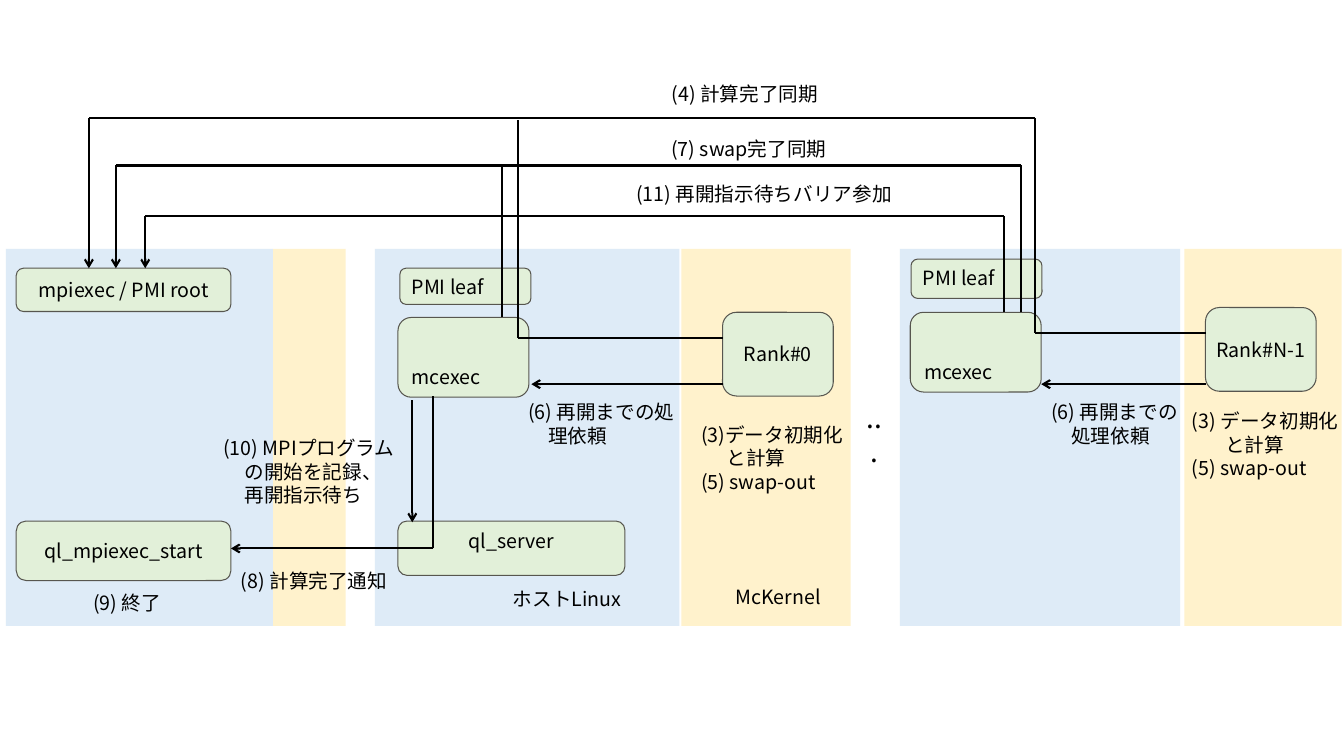
from dataclasses import dataclass
from itertools import pairwise

import lxml.etree
import pptx
import pptx.dml.color
import pptx.enum.shapes
import pptx.enum.text
import pptx.oxml.ns
import pptx.util

Cm = pptx.util.Cm
Pt = pptx.util.Pt
SHAPE = pptx.enum.shapes.MSO_SHAPE
ALIGN = pptx.enum.text.PP_ALIGN
ANCHOR = pptx.enum.text.MSO_ANCHOR
qn = pptx.oxml.ns.qn


@dataclass(frozen=True)
class Theme:
    font: str = "Noto Sans CJK JP"
    body: int = 14
    dots: int = 20
    ink: str = "000000"
    outline: str = "57564F"
    process: str = "E2F0D9"
    linux: str = "DEEBF7"
    mckernel: str = "FFF2CC"
    border: float = 0.75
    wire: float = 1.5


def rgb(code):
    return pptx.dml.color.RGBColor.from_string(code)


class Diagram:
    def __init__(self, page, theme):
        self.page = page
        self.theme = theme

    def set_text(self, frame, text, align, size=None, hang=0):
        """Fill a frame with one paragraph per line; the first one may hang."""
        for index, line in enumerate(text.split("\n")):
            para = frame.paragraphs[0] if index == 0 else frame.add_paragraph()
            para.text = line
            para.alignment = align
            if hang and index == 0:
                props = para._p.get_or_add_pPr()
                props.set("marL", str(Cm(hang)))
                props.set("indent", str(-Cm(hang)))
            font = para.font
            font.size = Pt(size or self.theme.body)
            font.color.rgb = rgb(self.theme.ink)
            font.name = self.theme.font
            east_asian = lxml.etree.SubElement(font._element, qn("a:ea"))
            east_asian.set("typeface", self.theme.font)

    def block(self, kind, place, fill):
        shape = self.page.shapes.add_shape(kind, *map(Cm, place))
        shape.shadow.inherit = False
        shape.fill.solid()
        shape.fill.fore_color.rgb = rgb(fill)
        return shape

    def panel(self, left, width, fill):
        place = (left, 6.27, width, 9.5)
        self.block(SHAPE.RECTANGLE, place, fill).line.fill.background()

    def process(self, text, place, anchor=ANCHOR.MIDDLE, align=ALIGN.CENTER):
        shape = self.block(SHAPE.ROUNDED_RECTANGLE, place, self.theme.process)
        shape.line.color.rgb = rgb(self.theme.outline)
        shape.line.width = Pt(self.theme.border)
        frame = shape.text_frame
        frame.word_wrap = align == ALIGN.LEFT
        frame.vertical_anchor = anchor
        self.set_text(frame, text, align)

    def label(self, text, place, align=ALIGN.CENTER, size=None, hang=0):
        box = self.page.shapes.add_textbox(*map(Cm, place))
        box.text_frame.word_wrap = True
        self.set_text(box.text_frame, text, align, size, hang)

    def route(self, points, arrow=True):
        """Join the points with straight lines, with an arrow at the last one."""
        for start, end in pairwise(points):
            wire = self.page.shapes.add_connector(
                pptx.enum.shapes.MSO_CONNECTOR.STRAIGHT, *map(Cm, start + end))
            wire.line.color.rgb = rgb(self.theme.ink)
            wire.line.width = Pt(self.theme.wire)
            if arrow and end == points[-1]:
                line = wire.line._get_or_add_ln()
                lxml.etree.SubElement(line, qn("a:tailEnd")).set("type", "arrow")
            lxml.etree.SubElement(wire._element.spPr, qn("a:effectLst"))


def draw_hosts(diagram):
    theme = diagram.theme
    for left, width, fill in [
        (17.17, 4.27, theme.mckernel), (9.45, 7.67, theme.linux),
        (6.88, 1.83, theme.mckernel), (0.15, 6.73, theme.linux),
        (29.85, 3.96, theme.mckernel), (22.68, 7.06, theme.linux),
    ]:
        diagram.panel(left, width, fill)

    diagram.process("mpiexec / PMI root", (0.41, 6.76, 5.41, 1.09))
    diagram.process("ql_mpiexec_start", (0.41, 13.13, 5.41, 1.5))
    diagram.process("ql_server", (10.03, 13.13, 5.72, 1.37), ANCHOR.TOP)
    for leaf, mcexec, rank, rank_name in [
        ((10.08, 6.76, 3.3, 0.91), (10.03, 8), (18.21, 7.87), "Rank#0"),
        ((22.96, 6.53, 3.3, 0.99), (22.94, 7.87), (30.38, 7.75), "Rank#N-1"),
    ]:
        diagram.process("PMI leaf", leaf, ANCHOR.TOP, ALIGN.LEFT)
        diagram.process("mcexec", mcexec + (3.3, 2.01), ANCHOR.BOTTOM, ALIGN.LEFT)
        diagram.process(rank_name, rank + (2.79, 2.11))


def draw_messages(diagram):
    # Barriers (4), (7) and (11) end at the PMI root
    diagram.route([(30.38, 8.38), (26.09, 8.38), (26.09, 2.97),
                   (2.24, 2.97), (2.24, 6.76)])
    for source, bar, target in [(25.73, 4.17, 2.92), (25.3, 5.44, 3.66)]:
        diagram.route([(source, 7.87), (source, bar), (target, bar), (target, 6.76)])
    # Rank 0 and its mcexec join barriers (4) and (7)
    diagram.route([(18.21, 8.51), (13.06, 8.51), (13.06, 3.02)], arrow=False)
    diagram.route([(12.65, 8), (12.65, 4.17)], arrow=False)
    # Requests (6), notice (8) and record (10)
    diagram.route([(18.21, 9.68), (13.39, 9.68)])
    diagram.route([(30.38, 9.68), (26.24, 9.68)])
    diagram.route([(10.92, 9.98), (10.92, 13.82), (5.82, 13.82)])
    diagram.route([(10.39, 10.08), (10.39, 13.16)])


def draw_labels(diagram):
    for text, place in [
        ("McKernel", (18.24, 14.61, 2.74, 0.86)),
        ("ホストLinux", (12.67, 14.66, 3.25, 0.86)),
        ("(4) 計算完了同期", (15.98, 1.93, 5.59, 0.86)),
        ("(7) swap完了同期", (16.03, 3.33, 5.69, 0.86)),
        ("(11) 再開指示待ちバリア参加", (15.24, 4.47, 8.03, 0.86)),
        ("(9) 終了", (1.04, 14.76, 4.34, 0.86)),
    ]:
        diagram.label(text, place)
    diagram.label("...", (21.51, 9.98, 1.07, 1.12), size=diagram.theme.dots)

    request = "(6) 再開までの処理依頼"
    for text, place, hang in [
        ("(3) データ初期化と計算\n(5) swap-out", (29.79, 10.19, 4.42, 2.06), 0.84),
        ("(3)データ初期化と計算\n(5) swap-out", (17.42, 10.52, 4.17, 2.06), 0.64),
        ("(10) MPIプログラムの開始を記録、再開指示待ち",
         (5.38, 10.87, 4.98, 2.06), 0.53),
        (request, (13.06, 9.96, 4.27, 1.45), 0.51),
        (request, (26.24, 9.96, 3.81, 1.45), 0.51),
        ("(8) 計算完了通知", (5.82, 14.22, 5, 0.86), 0),
    ]:
        diagram.label(text, place, ALIGN.LEFT, hang=hang)


def main():
    deck = pptx.Presentation()
    deck.slide_width, deck.slide_height = Cm(33.87), Cm(19.05)
    blank_layout = deck.slide_layouts[6]
    diagram = Diagram(deck.slides.add_slide(blank_layout), Theme())
    draw_hosts(diagram)
    draw_messages(diagram)
    draw_labels(diagram)
    deck.save("out.pptx")


if __name__ == "__main__":
    main()
